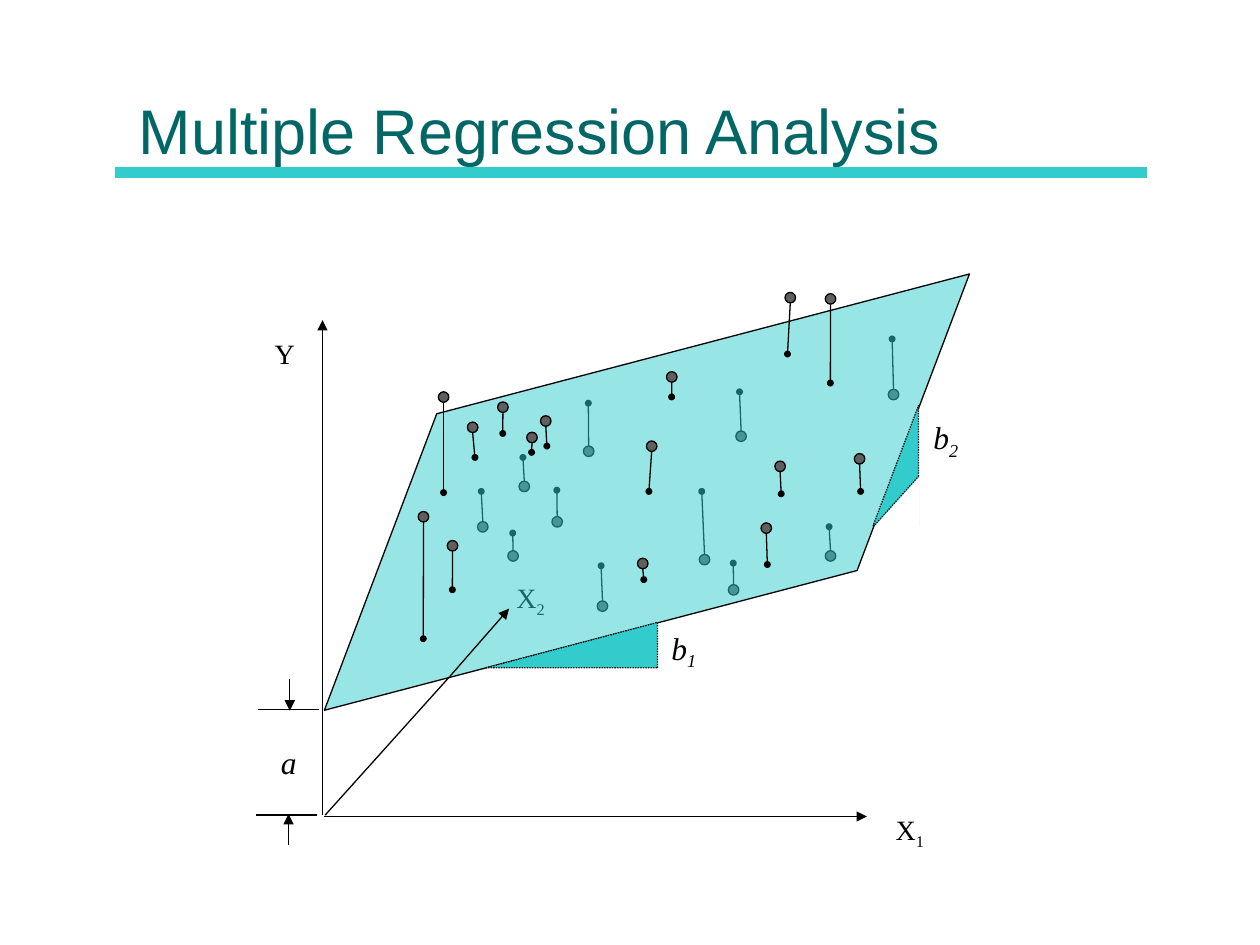
from dataclasses import dataclass

from pptx import Presentation
from pptx.dml.color import RGBColor
from pptx.enum.dml import MSO_LINE
from pptx.enum.shapes import MSO_CONNECTOR, MSO_SHAPE
from pptx.enum.text import MSO_ANCHOR, MSO_AUTO_SIZE, PP_ALIGN
from pptx.oxml.ns import qn
from pptx.util import Pt
from lxml.etree import SubElement


@dataclass(frozen=True)
class Theme:
    ink: str = "000000"
    title: str = "006666"
    accent: str = "33CCCC"
    point: str = "5F5F5F"
    paper: str = "FFFFFF"
    title_font: str = "Arial"
    label_font: str = "Times New Roman"
    title_size: float = 36
    axis_size: float = 16
    coef_size: float = 18
    thin: float = 0.75
    rule: float = 6
    dot: float = 6


def add_run(p, text, *, size, font, color, italic=False, subscript=False):
    r = p.add_run()
    r.text = text
    r.font.size = Pt(size)
    r.font.name = font
    r.font.italic = italic
    r.font.color.rgb = RGBColor.from_string(color)
    if subscript:
        r.font._element.set("baseline", "-25000")
    return r


class Diagram:
    def __init__(self, slide, theme):
        self.s = slide
        self.t = theme

    def title(self, text, x, y, w, h):
        sp = self.s.shapes.title
        sp.left, sp.top, sp.width, sp.height = Pt(x), Pt(y), Pt(w), Pt(h)
        tf = sp.text_frame
        tf.vertical_anchor = MSO_ANCHOR.BOTTOM
        tf.word_wrap = True
        p = tf.paragraphs[0]
        p.alignment = PP_ALIGN.LEFT
        add_run(p, text, size=self.t.title_size, font=self.t.title_font,
                color=self.t.title)

    def line(self, x1, y1, x2, y2, *, color=None, width=None, dash=None,
             end=None, end_size="med"):
        cx = self.s.shapes.add_connector(
            MSO_CONNECTOR.STRAIGHT, Pt(x1), Pt(y1), Pt(x2), Pt(y2))
        cx.line.color.rgb = RGBColor.from_string(color or self.t.ink)
        cx.line.width = Pt(width or self.t.thin)
        if dash:
            cx.line.dash_style = dash
        if end:
            SubElement(cx.line._get_or_add_ln(), qn("a:tailEnd"),
                       type=end, w=end_size, len=end_size)
        SubElement(cx._element.spPr, qn("a:effectLst"))

    def shape(self, kind, x, y, w, h, *, fill, outline=True, dash=None,
              flip=False, rotation=0, adjust=None, alpha=None):
        sp = self.s.shapes.add_shape(kind, Pt(x), Pt(y), Pt(w), Pt(h))
        sp.shadow.inherit = False
        sp.rotation = rotation
        sp.fill.solid()
        sp.fill.fore_color.rgb = RGBColor.from_string(fill)
        if adjust is not None:
            sp.adjustments[0] = adjust
        if alpha is not None:
            color = sp._element.spPr.find(qn("a:solidFill")).find(qn("a:srgbClr"))
            SubElement(color, qn("a:alpha"), val=str(alpha * 1000))
        if flip:
            sp._element.spPr.xfrm.set("flipH", "1")
        if outline:
            sp.line.color.rgb = RGBColor.from_string(self.t.ink)
            sp.line.width = Pt(self.t.thin)
            if dash:
                sp.line.dash_style = dash
        else:
            sp.line.fill.background()

    def label(self, text, x, y, w, h, *, sub="", size, italic=False):
        tf = self.s.shapes.add_textbox(Pt(x), Pt(y), Pt(w), Pt(h)).text_frame
        tf.word_wrap = False
        tf.auto_size = MSO_AUTO_SIZE.SHAPE_TO_FIT_TEXT
        style = dict(size=size, font=self.t.label_font, color=self.t.ink, italic=italic)
        p = tf.paragraphs[0]
        add_run(p, text, **style)
        if sub:
            add_run(p, sub, subscript=True, **style)

    def residual(self, cx, cy, foot_x, foot_y):
        """An observation joined to its fitted value on the plane."""
        d = self.t.dot
        self.shape(MSO_SHAPE.OVAL, cx - d / 2, cy - d / 2, d, d, fill=self.t.point)
        edge = cy + d / 2 if foot_y > cy else cy - d / 2
        self.line(cx, edge, foot_x, foot_y, end="oval", end_size="sm")


# Observation centre and fitted value: x, y, x, y
BELOW_PLANE = [
    (423.5, 249.3, 422.6, 223.9), (474.6, 317.7, 473.8, 301),
    (299.6, 278, 298.8, 261.4), (336.4, 257.9, 336.2, 230.4),
    (318.4, 298.2, 318.2, 280.1), (510.6, 225.5, 509.8, 193.7),
    (402.6, 319.8, 401, 280.8), (275.9, 301.1, 275, 280.8),
    (293.2, 317.7, 293, 304.6), (419.2, 337.1, 419, 321.8),
    (344.3, 346.4, 343.5, 323.3),
]
ABOVE_PLANE = [
    (253.5, 226.9, 253.5, 281.5), (474.6, 170.8, 474.5, 218.9),
    (451.6, 170.1, 450, 202.3), (242, 295.3, 241.9, 365),
    (258.6, 311.9, 258.5, 337), (287.4, 232.7, 287.3, 247.7),
    (270.1, 244.2, 271.4, 261.4), (304, 250, 303.8, 258.5),
    (311.9, 240.6, 312.5, 254.9), (372.4, 255, 370.8, 280.8),
    (367.3, 322, 367.9, 331.2), (383.9, 215.4, 383.8, 226.8),
    (445.8, 266.5, 446.4, 282.2), (437.9, 301.8, 438.5, 322.6),
    (491.2, 262.2, 491.8, 280.8),
]


def main():
    prs = Presentation()
    prs.slide_width, prs.slide_height = Pt(720), Pt(540)
    t = Theme()
    d = Diagram(prs.slides.add_slide(prs.slide_layouts[5]), t)
    dots = MSO_LINE.ROUND_DOT

    # Heading
    d.title("Multiple Regression Analysis", 72, 9, 576, 90)
    d.line(65.5, 98.6, 655.2, 98.6, color=t.accent, width=t.rule)

    # Points below the plane
    for point in BELOW_PLANE:
        d.residual(*point)

    # Axes
    d.line(184.3, 465.8, 184.3, 182.9, end="triangle")
    d.line(185, 466.6, 495.4, 466.6, end="triangle")
    d.line(185.8, 465.8, 257, 386.6)
    d.label("Y", 149.8, 188.6, 25.9, 26.6, size=t.axis_size)
    d.label("X", 504.7, 460.8, 33, 29.5, sub="1", size=t.axis_size)
    d.label("X", 288, 328.3, 33, 29.5, sub="2", size=t.axis_size)

    # Intercept
    d.line(147.6, 405.4, 182.2, 405.4)
    d.line(146.2, 465.8, 181.4, 465.8)
    d.line(165.6, 388.1, 165.6, 406.1, end="triangle")
    d.line(164.9, 483.1, 164.9, 465.1, end="triangle")
    d.label("a", 153.4, 421.2, 23, 28.8, size=t.coef_size, italic=True)

    # Regression plane
    d.shape(MSO_SHAPE.PARALLELOGRAM, 159.8, 207.4, 419.8, 147.6, fill=t.accent,
            alpha=50, rotation=345.3, adjust=0.712)

    # Slope along X1
    d.shape(MSO_SHAPE.RIGHT_TRIANGLE, 277.9, 355.7, 97.9, 25.9, fill=t.accent,
            flip=True, dash=dots)
    d.label("b", 376.6, 355.7, 30, 31.7, sub="1", size=t.coef_size, italic=True)

    # Slope along X2
    d.shape(MSO_SHAPE.RIGHT_TRIANGLE, 499, 231.8, 25.9, 68.4, fill=t.accent,
            flip=True, dash=dots)
    d.line(499, 301, 524.9, 272.2, dash=dots)
    d.shape(MSO_SHAPE.RIGHT_TRIANGLE, 499.7, 272.2, 25.9, 28.8, fill=t.paper,
            flip=True, outline=False)
    d.label("b", 526.3, 235.4, 30, 31.7, sub="2", size=t.coef_size, italic=True)

    # Points above the plane
    for point in ABOVE_PLANE:
        d.residual(*point)

    # Tip of the X2 axis
    d.line(257, 386.6, 290.9, 347.8, end="triangle")

    prs.save("out.pptx")


if __name__ == "__main__":
    main()
